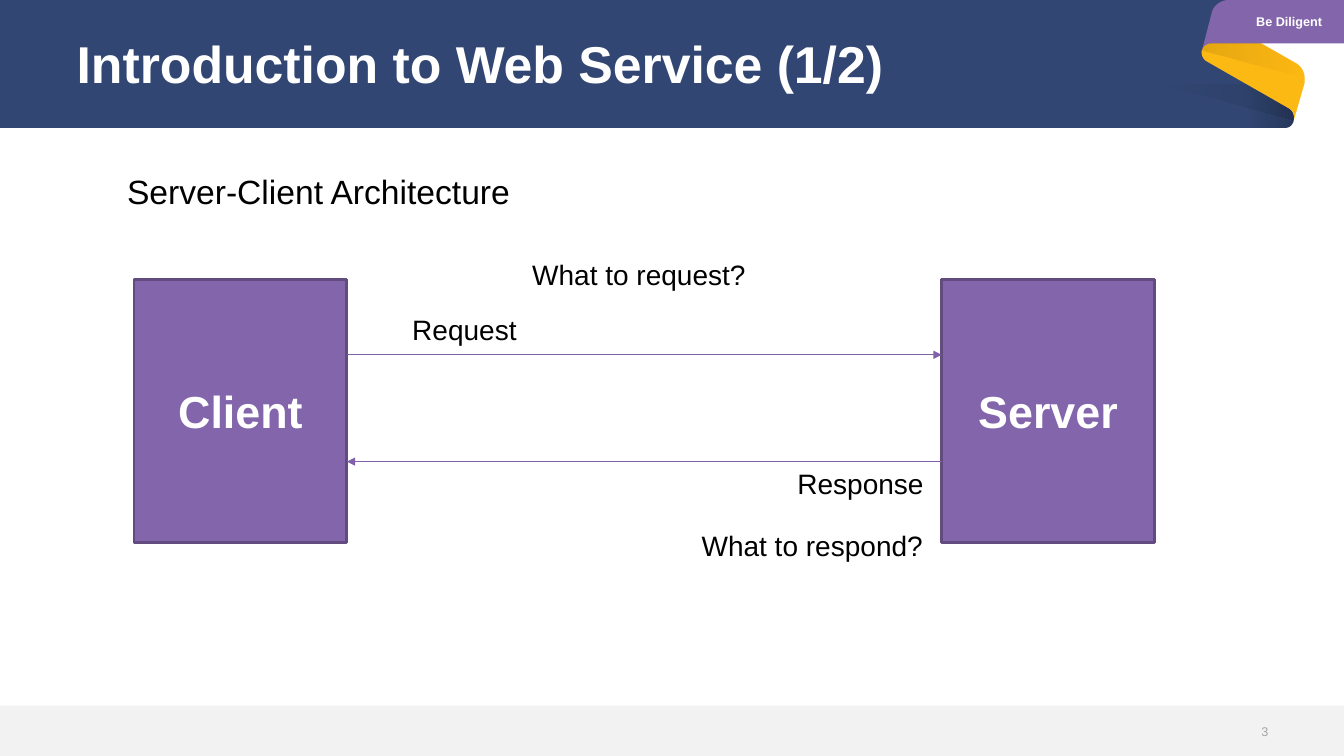
from lxml import etree
from pptx import Presentation
from pptx import util as u
from pptx.dml.color import RGBColor
from pptx.enum import shapes, text
from pptx.oxml.ns import qn

NAVY = RGBColor(0x31, 0x46, 0x72)
GOLD = RGBColor(0xFC, 0xB8, 0x13)
PURPLE = RGBColor(0x83, 0x65, 0xAB)
PURPLE_EDGE = RGBColor(0x61, 0x4B, 0x7F)
ARROW = RGBColor(0x80, 0x61, 0xA9)
FOOTER = RGBColor(0xF2, 0xF2, 0xF2)
GREY = RGBColor(0xA5, 0xA5, 0xA5)
BLACK = RGBColor(0, 0, 0)
WHITE = RGBColor(0xFF, 0xFF, 0xFF)
LEFT, CENTER, RIGHT = text.PP_ALIGN.LEFT, text.PP_ALIGN.CENTER, text.PP_ALIGN.RIGHT
TOP, MIDDLE = text.MSO_ANCHOR.TOP, text.MSO_ANCHOR.MIDDLE


def outline(steps, pieces=10):
    """Turn points and cubic curves (six numbers) into a list of points."""
    points = []
    for step in steps:
        if len(step) == 2:
            points.append(step)
            continue
        corners = [points[-1], step[:2], step[2:4], step[4:]]
        for i in range(1, pieces + 1):
            t = i / pieces
            weights = ((1 - t) ** 3, 3 * t * (1 - t) ** 2, 3 * t * t * (1 - t), t ** 3)
            points.append(tuple(sum(w * c[axis] for w, c in zip(weights, corners))
                                for axis in (0, 1)))
    return [(u.Inches(x), u.Inches(y)) for x, y in points]


class Page:
    font = "Arial"

    def __init__(self, deck, layout):
        self.page = deck.slides.add_slide(layout)
        self.shapes = self.page.shapes

    def fill_text(self, box, words, size, color, bold=False, align=LEFT, anchor=MIDDLE,
                  inset=0.0, spacing=1.0, wrap=True):
        frame = box.text_frame
        frame.word_wrap = wrap
        frame.auto_size = text.MSO_AUTO_SIZE.NONE
        frame.vertical_anchor = anchor
        frame.margin_left = frame.margin_right = u.Inches(inset)
        frame.margin_top = frame.margin_bottom = u.Inches(inset / 2)
        para = frame.paragraphs[0]
        para.alignment, para.line_spacing, para.space_before = align, spacing, u.Pt(0)
        span = para.add_run()
        span.text = words
        span.font.name, span.font.size, span.font.bold = self.font, u.Pt(size), bold
        span.font.color.rgb = color

    def placeholder(self, idx, place, words, size, color, indent=None, **style):
        box = self.page.placeholders[idx]
        box.left, box.top, box.width, box.height = map(u.Inches, place)
        box.element.getparent().append(box.element)  # bring to front
        if indent:
            props = box.text_frame.paragraphs[0]._p.get_or_add_pPr()
            props.set("marL", str(u.Inches(indent[0])))
            props.set("indent", str(u.Inches(indent[1])))
            etree.SubElement(props, qn("a:buNone"))
        self.fill_text(box, words, size, color, **style)

    def label(self, place, words, size=20, color=BLACK, anchor=TOP, inset=0.1, **style):
        box = self.shapes.add_textbox(*map(u.Inches, place))
        self.fill_text(box, words, size, color, anchor=anchor, inset=inset, **style)

    def rectangle(self, place, fill, edge=None):
        box = self.shapes.add_shape(shapes.MSO_SHAPE.RECTANGLE, *map(u.Inches, place))
        self.paint(box, fill)
        if edge:
            box.line.color.rgb, box.line.width = edge, u.Pt(2)
        return box

    def paint(self, box, fill):
        box.shadow.inherit = False
        box.fill.solid()
        box.fill.fore_color.rgb = fill
        box.line.fill.background()

    def ribbon(self, steps, fill):
        points = outline(steps)
        builder = self.shapes.build_freeform(*points[0])
        builder.add_line_segments(points[1:], close=True)
        piece = builder.convert_to_shape()
        self.paint(piece, fill)
        return piece

    def shade(self, steps, opacity, angle):
        piece = self.ribbon(steps, BLACK)
        piece.fill.gradient()
        piece.fill.gradient_angle = angle
        for stop, position in zip(piece.fill.gradient_stops, (0, 1)):
            stop.position, stop.color.rgb = position, BLACK
        colors = piece.element.spPr.find(qn("a:gradFill")).iter(qn("a:srgbClr"))
        for color, percent in zip(list(colors), (opacity, 0)):
            etree.SubElement(color, qn("a:alpha")).set("val", str(percent * 1000))

    def arrow(self, start, end):
        line = self.shapes.add_connector(shapes.MSO_CONNECTOR.STRAIGHT,
                                         *map(u.Inches, start + end))
        line.line.color.rgb, line.line.width = ARROW, u.Pt(0.75)
        props = line.element.spPr
        etree.SubElement(props.find(qn("a:ln")), qn("a:tailEnd")).set("type", "triangle")
        etree.SubElement(props, qn("a:effectLst"))


def main():
    deck = Presentation()
    deck.slide_width, deck.slide_height = u.Inches(13.33), u.Inches(7.5)
    page = Page(deck, deck.slide_layouts.get_by_name("Two Content"))

    # Header band and folded ribbon
    page.ribbon([(0, 0), (12.43, 0), (12.43, 0.72), (12.79, 1.08),
                 (12.83, 1.11, 12.84, 1.15, 12.83, 1.2),
                 (12.82, 1.24, 12.79, 1.27, 12.74, 1.27), (0, 1.27)], NAVY)
    page.ribbon([(11.97, 0.61), (12.79, 1.08), (12.83, 1.11, 12.84, 1.15, 12.83, 1.2),
                 (12.94, 0.82), (12.94, 0.78), (12.94, 0.72, 12.91, 0.66, 12.86, 0.63),
                 (12.44, 0.39), (12.02, 0.41), (11.97, 0.41, 11.93, 0.46, 11.92, 0.5),
                 (11.91, 0.54, 11.93, 0.59, 11.97, 0.61)], GOLD)
    page.ribbon([(11.92, 0.5), (11.93, 0.46, 11.97, 0.43, 12.02, 0.43), (13.33, 0.43),
                 (13.33, 0), (12.19, 0), (12.11, 0, 12.04, 0.05, 12.02, 0.12),
                 (11.94, 0.43)], PURPLE)

    # Soft shades on the folds
    page.shade([(12.37, 0.84), (12.37, 1.27), (12.74, 1.27),
                (12.79, 1.27, 12.82, 1.24, 12.83, 1.2),
                (12.84, 1.15, 12.83, 1.11, 12.79, 1.08)], 20, 180)
    page.shade([(11.52, 0.84), (12.83, 1.2), (12.84, 1.15, 12.83, 1.11, 12.79, 1.08),
                (12.37, 0.84)], 10, 180)
    page.shade([(11.92, 0.5), (12.94, 0.77), (12.94, 0.72, 12.91, 0.66, 12.86, 0.63),
                (12.5, 0.43), (12.02, 0.43), (11.97, 0.43, 11.93, 0.46, 11.92, 0.5)], 10, 0)

    # Footer, title and body
    page.rectangle((0, 7, 13.33, 0.5), FOOTER)
    page.placeholder(0, (0.76, 0.06, 11.81, 1.2), "Introduction to Web Service (1/2)", 37, WHITE,
                     bold=True, spacing=0.9)
    page.placeholder(1, (0.76, 1.56, 11.81, 5.19), "Server-Client Architecture", 24, BLACK,
                     indent=(0.5, 0), align=text.PP_ALIGN.JUSTIFY, anchor=TOP, spacing=1.33)
    page.label((11.95, 7.13, 0.63, 0.26), "3", 9, GREY, anchor=MIDDLE, inset=0, align=RIGHT)
    page.placeholder(2, (11.99, 0, 1.34, 0.43), "Be Diligent", 9, WHITE, indent=(0.5, -0.25),
                     bold=True, align=CENTER)

    # Client and server
    for left, name in ((1.33, "Client"), (9.34, "Server")):
        box = page.rectangle((left, 2.77, 2.11, 2.61), PURPLE, PURPLE_EDGE)
        page.fill_text(box, name, 32, WHITE, bold=True, align=CENTER, inset=0.1)

    # Messages between them
    page.arrow((3.44, 3.52), (9.34, 3.52))
    page.arrow((9.34, 4.58), (3.44, 4.58))
    for left, top, width, words in ((3.99, 3.05, 1.25, "Request"),
                                    (7.81, 4.58, 1.47, "Response"),
                                    (5.18, 2.51, 2.33, "What to request?"),
                                    (6.86, 5.19, 2.41, "What to respond?")):
        page.label((left, top, width, 0.44), words, wrap=False)

    deck.save("out.pptx")


if __name__ == "__main__":
    main()
